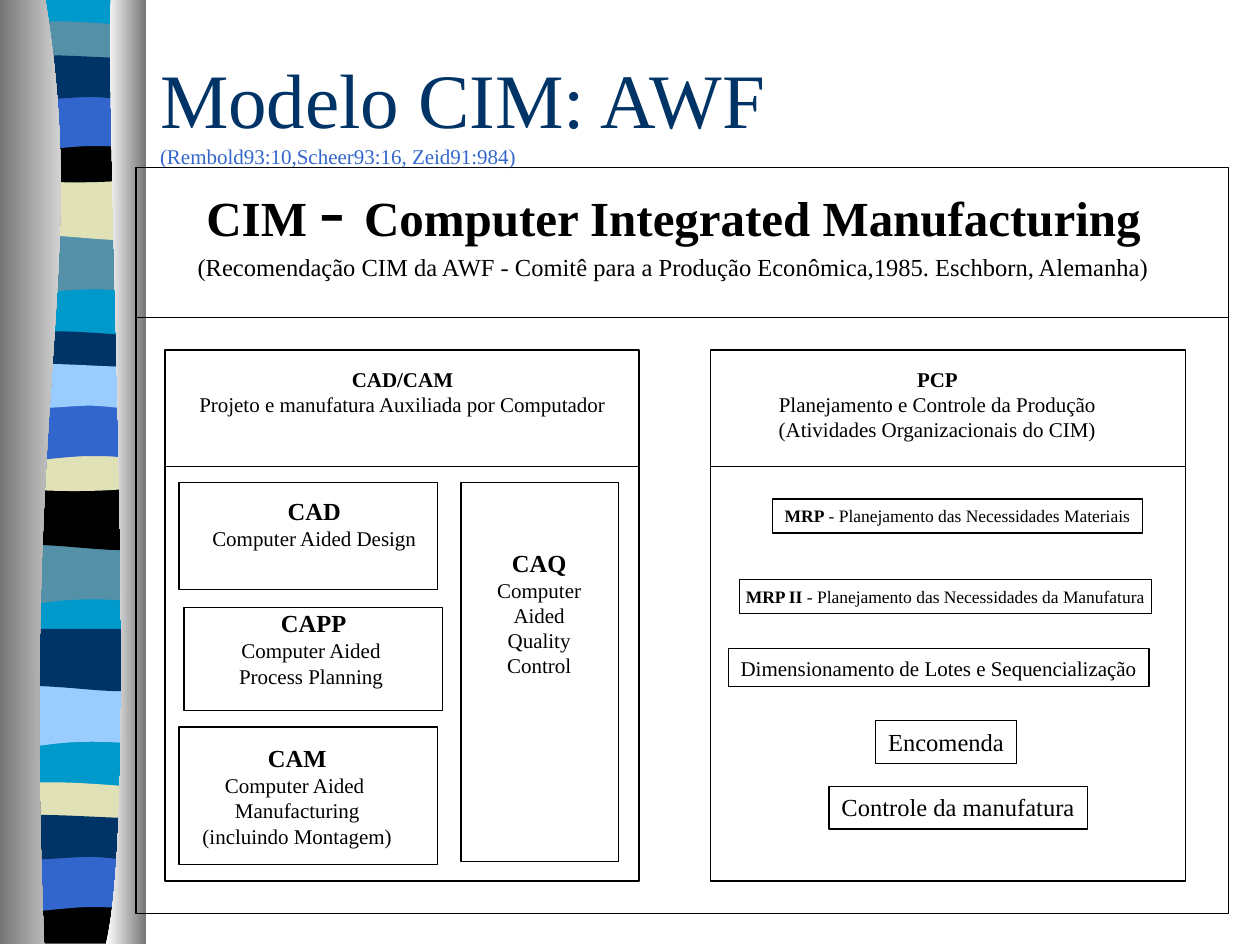
from lxml import etree
from pptx import Presentation, util as u
from pptx.dml.color import RGBColor
from pptx.enum import shapes, text
from pptx.oxml.ns import qn

FONT = "Times New Roman"
UNITS = 1000  # outline units per inch
HUES = {"navy": "003366", "blue": "3366CC", "sky": "99CCFF", "cyan": "0099CC",
        "teal": "5490A8", "cream": "E1E1B7", "black": "000000",
        "grey": "767676", "white": "FFFFFF"}

# Wave outlines: bottom edge right to left, then top edge left to right.
# Each edge is a start point, then steps: one point for a line, three for a curve.
FLAT = [[(0, 0)], [(1.08, 0)]]
WAVES = {
    "fall": [[(1.08, 0.47)], [(0.33, 0.39), (0.18, 0.55), (0, 0.47)]] + FLAT,
    "rise": [[(1.08, 0.47)], [(0.9, 0.55), (0.33, 0.41), (0, 0.47)]] + FLAT,
    "lens": [[(1.08, 0.29)], [(0.9, 0.33), (0.18, 0.33), (0, 0.29)],
             [(0, 0.05)], [(0.07, 0), (0.23, 0.01), (0.41, 0.01)],
             [(0.59, 0.01), (0.94, 0.04), (1.08, 0.05)]],
    "sag": [[(1.08, 0.33)], [(0.9, 0.38), (0.18, 0.38), (0, 0.33)],
            [(0, 0)], [(0.66, 0.05), (0.85, 0), (1.08, 0)]],
    "arch": [[(1.08, 0.47)], [(0.91, 0.42), (0.84, 0.42), (0.66, 0.42)],
             [(0.48, 0.42), (0.16, 0.47), (0, 0.47)]] + FLAT,
    "swell": [[(1.08, 0.36)], [(1.01, 0.41), (0.84, 0.36), (0.66, 0.36)],
              [(0.48, 0.36), (0.11, 0.41), (0, 0.36)],
              [(0, 0.05)], [(0.15, 0), (0.73, 0.05), (0.91, 0.05)],
              [(1.09, 0.05), (1.05, 0.05), (1.08, 0.05)]],
    "foot": [[(1.08, 0.37)], [(0.01, 0.37)], [(0, 0)],
             [(0.66, 0.05), (0.85, 0), (1.08, 0)]],
}
BASE = [[(0.06, 0)], [(1.14, 0)], [(1.14, 7.47)], [(0.06, 7.47)]]
# left, then (wave, top, colour) from back to front
BANDS = [
    (0.06, [("fall", 1.85, "teal"), ("rise", 1.41, "cream"), ("lens", 0.16, "teal"),
            ("sag", 1.08, "black"), ("arch", 0.74, "blue"), ("swell", 0.41, "navy")]),
    (0.05, [("fall", 4.31, "teal"), ("rise", 3.87, "black"), ("lens", 2.62, "navy"),
            ("sag", 3.53, "cream"), ("arch", 3.2, "blue"), ("swell", 2.86, "sky")]),
    (0.05, [("fall", 5.44, "sky"), ("rise", 4.99, "navy"), ("lens", 6.2, "cream"),
            ("foot", 7.12, "black"), ("arch", 6.78, "blue"), ("swell", 6.44, "navy")]),
]
# outline, gradient colours
DRAPES = [
    ([[(0.36, 0)], [(0.71, 2.16), (0.17, 2.96), (0.35, 7.49)],
      [(0, 7.49)], [(0, 0)]], ("grey", "white")),
    ([[(0.88, 0)], [(0.84, 1.25), (1.11, 6.46), (0.84, 7.49)],
      [(1.16, 7.49)], [(1.16, 0)]], ("white", "grey")),
]

# A line of text is a list of (words, size, bold).
TITLE = [("Modelo CIM: AWF \v", 44, False, "navy"),
         ("(Rembold93:10,Scheer93:16, Zeid91:984)", 12, False, "blue")]
FRAME = (1.08, 1.33, 8.67, 5.92)
PANELS = [(1.31, 2.78, 3.76, 4.21), (5.64, 2.78, 3.77, 4.21)]
RULES = [(FRAME, 2.52)] + [(box, 3.7) for box in PANELS]
CELLS = [(1.42, 3.83, 2.05, 0.85), (1.46, 4.82, 2.05, 0.82),
         (1.42, 5.77, 2.05, 1.09), (3.66, 3.83, 1.25, 3.01)]
HEAD = ((1.45, 1.22, 7.79, 1.07), [
    [("CIM ", 28, True), ("- ", 44, False),
     ("Computer Integrated Manufacturing", 28, True)],
    [("(Recomendação CIM da AWF - Comitê para a Produção Econômica,1985. "
      "Eschborn, Alemanha)", 14, False)]])
# place, heading, heading size, lines below at 12 pt
NOTES = [
    ((1.48, 2.86, 3.43, 0.5), "CAD/CAM", 12,
     ["Projeto e manufatura Auxiliada por Computador"]),
    ((6.08, 2.86, 2.72, 0.7), "PCP", 12,
     ["Planejamento e Controle da Produção", "(Atividades Organizacionais do CIM)"]),
    ((1.58, 3.89, 1.83, 0.54), "CAD", 14, ["Computer Aided Design"]),
    ((1.51, 5.85, 1.7, 0.94), "CAM", 14,
     ["Computer Aided ", "Manufacturing", "(incluindo Montagem)"]),
    ((1.8, 4.78, 1.38, 0.74), "CAPP", 14, ["Computer Aided ", "Process Planning "]),
    ((3.85, 4.3, 0.86, 1.14), "CAQ", 14, ["Computer", "Aided", "Quality", "Control"]),
]
# place, side inset, line
TASKS = [
    ((6.13, 3.96, 2.94, 0.27), 0.1,
     [("MRP", 10, True), (" - Planejamento das Necessidades Materiais", 10, False)]),
    ((5.87, 4.6, 3.27, 0.27), 0.05,
     [("MRP II", 10, True), (" - Planejamento das Necessidades da Manufatura", 10, False)]),
    ((5.78, 5.15, 3.34, 0.3), 0.1,
     [("Dimensionamento de Lotes e Sequencialização", 12, False)]),
    ((6.95, 5.72, 1.12, 0.34), 0.1, [("Encomenda", 14, False)]),
    ((6.58, 6.24, 2.05, 0.34), 0.1, [("Controle da manufatura", 14, False)]),
]


def hue(name):
    return RGBColor.from_string(HUES[name])


def span(box):
    return [u.Inches(n) for n in box]


def write(shape, lines, align="LEFT", anchor="TOP", wrap=False, side=0.1):
    frame = shape.text_frame
    frame.word_wrap = wrap
    frame.auto_size = text.MSO_AUTO_SIZE.NONE
    frame.vertical_anchor = getattr(text.MSO_ANCHOR, anchor)
    frame.margin_left = frame.margin_right = u.Inches(side)
    frame.margin_top = frame.margin_bottom = u.Inches(0.05)
    for i, line in enumerate(lines):
        para = frame.add_paragraph() if i else frame.paragraphs[0]
        para.alignment = getattr(text.PP_ALIGN, align)
        for words, size, bold, *tint in line:
            run = para.add_run()
            run.text = words.rstrip("\v")
            if words.endswith("\v"):
                para.add_line_break()
            font = run.font
            font.name, font.size, font.bold = FONT, u.Pt(size), bold
            font.color.rgb = hue(tint[0] if tint else "black")


def outline(slide, steps, left=0, top=0):
    """Draw a closed outline; each three-point step becomes one cubic curve."""
    pts = [(round((x + left) * UNITS), round((y + top) * UNITS))
           for step in steps for x, y in step]
    build = slide.shapes.build_freeform(*pts[0], scale=u.Inches(1) / UNITS)
    build.add_line_segments(pts[1:], close=True)
    shape = build.convert_to_shape()
    lines = iter(list(shape._element.iter(qn("a:lnTo"))))
    for step in steps[1:]:
        first, *rest = [next(lines) for _ in step]
        if rest:
            first.tag = qn("a:cubicBezTo")
            for line in rest:
                first.append(line[0])
                line.getparent().remove(line)
    shape.shadow.inherit = False
    shape.line.fill.background()
    return shape


def paint(shape, name):
    shape.fill.solid()
    shape.fill.fore_color.rgb = hue(name)


def border(slide, box, width=0.75):
    shape = slide.shapes.add_shape(shapes.MSO_SHAPE.RECTANGLE, *span(box))
    shape.shadow.inherit = False
    shape.fill.background()
    shape.line.color.rgb, shape.line.width = hue("black"), u.Pt(width)
    return shape


def rule(slide, box, y):
    ends = span((box[0], y, box[0] + box[2], y))
    line = slide.shapes.add_connector(shapes.MSO_CONNECTOR.STRAIGHT, *ends)
    line.line.color.rgb, line.line.width = hue("black"), u.Pt(0.75)
    etree.SubElement(line._element.spPr, qn("a:effectLst"))


def ribbon(slide):
    paint(outline(slide, BASE), "cyan")
    for left, bands in BANDS:
        for wave, top, name in bands:
            paint(outline(slide, WAVES[wave], left, top), name)
    for steps, names in DRAPES:
        fill = outline(slide, steps).fill
        fill.gradient()
        fill.gradient_angle = 0
        for stop, name, at in zip(fill.gradient_stops, names, (0, 1)):
            stop.color.rgb, stop.position = hue(name), at


def main():
    prs = Presentation()
    prs.slide_width, prs.slide_height = u.Inches(10), u.Inches(7.5)
    slide = prs.slides.add_slide(prs.slide_layouts[5])
    ribbon(slide)
    title = slide.shapes.title
    title.left, title.top, title.width, title.height = span((1.17, 0.25, 8.5, 1.25))
    write(title, [TITLE], anchor="MIDDLE", wrap=True)
    border(slide, FRAME)
    for box in PANELS:
        border(slide, box, 1)
    for box in CELLS:
        border(slide, box)
    for box, y in RULES:
        rule(slide, box, y)
    notes = [(box, [[(head, size, True)]] + [[(row, 12, False)] for row in rows])
             for box, head, size, rows in NOTES]
    for box, lines in [HEAD] + notes:
        write(slide.shapes.add_textbox(*span(box)), lines, align="CENTER")
    for box, side, line in TASKS:
        write(border(slide, box), [line], side=side)
    prs.save("out.pptx")


if __name__ == "__main__":
    main()
